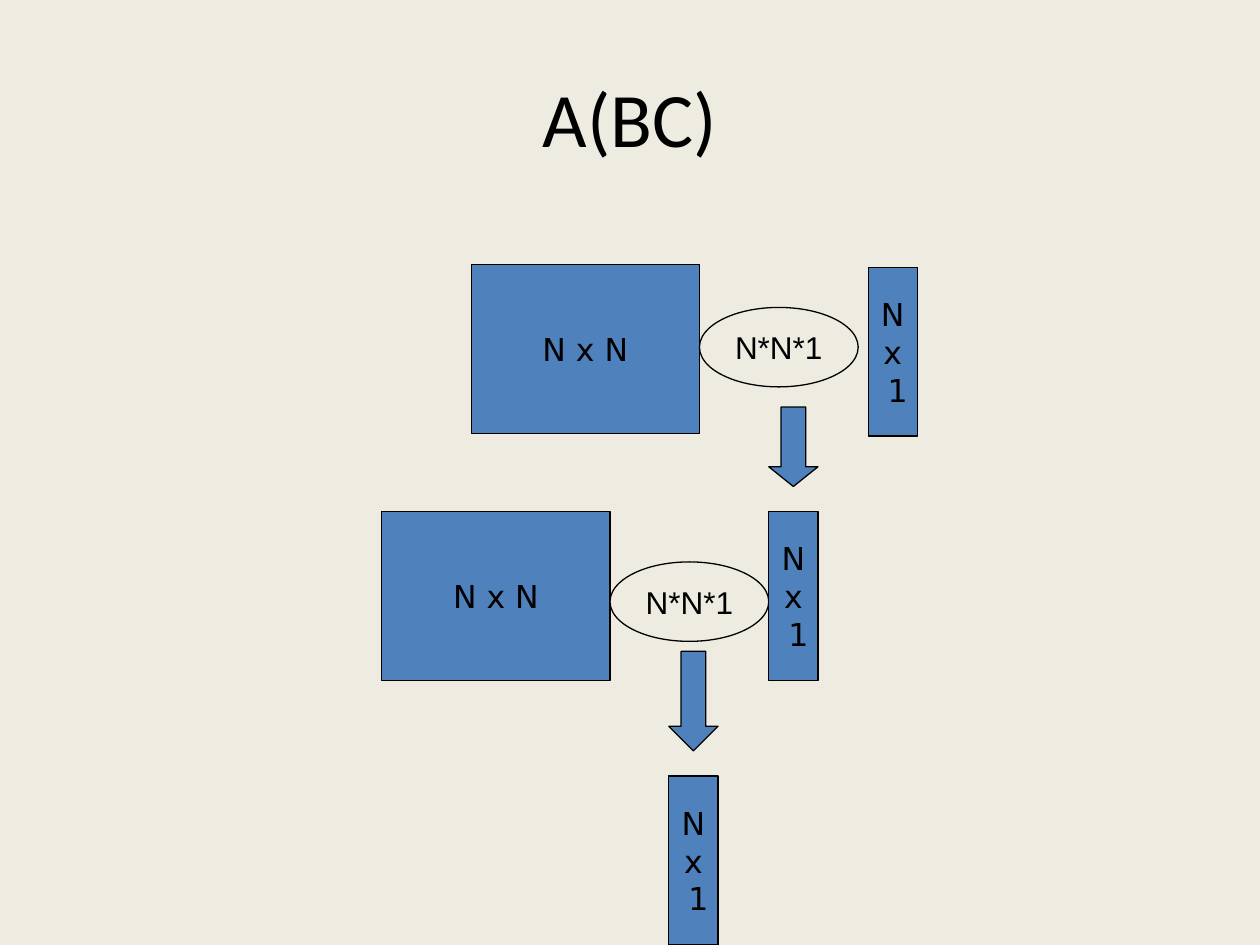
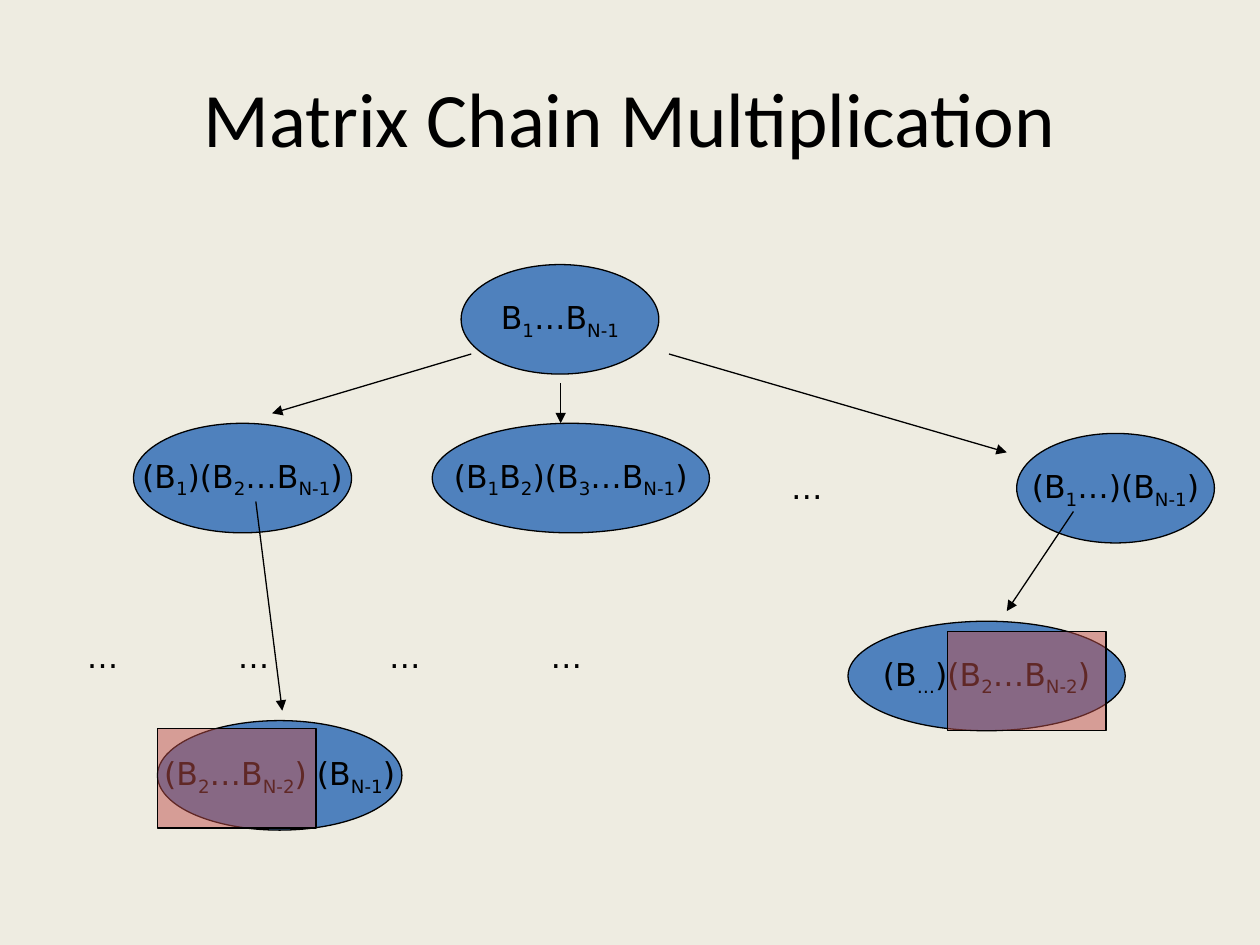
from lxml import etree
from pptx import Presentation
from pptx.dml.color import RGBColor
from pptx.enum.shapes import MSO_CONNECTOR, MSO_SHAPE
from pptx.enum.text import MSO_ANCHOR, PP_ALIGN
from pptx.oxml.ns import qn
from pptx.util import Pt

RECT, OVAL, DOWN = MSO_SHAPE.RECTANGLE, MSO_SHAPE.OVAL, MSO_SHAPE.DOWN_ARROW
STRAIGHT = MSO_CONNECTOR.STRAIGHT
MIDDLE = MSO_ANCHOR.MIDDLE
LEFT, CENTER = PP_ALIGN.LEFT, PP_ALIGN.CENTER

CREAM, BLUE, RED, BLACK = "EEECE1", "4F81BD", "C0504D", "000000"
TITLE_FONT, LABEL_FONT, COST_FONT = "Calibri", "DejaVu Sans", "Arial"
LINE_WIDTH = 0.75

# Sizes of the multiplication parts
MATRIX_W, MATRIX_H = 130.4, 96.5
COST_W, COST_H = 90.7, 45.4
VECTOR_W = 28.1

# Sizes of the tree parts
NODE_H = 62.6
SHARED_W, SHARED_H = 90.7, 56.9


def rgb(value):
    return RGBColor.from_string(value)


def outline(line):
    line.color.rgb = rgb(BLACK)
    line.width = Pt(LINE_WIDTH)


def write(frame, lines, font=LABEL_FONT, size=18, align=CENTER):
    """Write one paragraph per line; every second part between bars is a subscript."""
    for number, text in enumerate(lines):
        paragraph = frame.add_paragraph() if number else frame.paragraphs[0]
        paragraph.alignment = align
        for index, part in enumerate(text.split("|")):
            run = paragraph.add_run()
            run.text = part
            run.font.name = font
            run.font.size = Pt(size)
            run.font.color.rgb = rgb(BLACK)
            if index % 2:
                run._r.get_or_add_rPr().set("baseline", "-25000")


def add_block(slide, kind, left, top, width, height, lines=(), fill=BLUE, font=LABEL_FONT):
    block = slide.shapes.add_shape(kind, Pt(left), Pt(top), Pt(width), Pt(height))
    block.shadow.inherit = False
    block.fill.solid()
    block.fill.fore_color.rgb = rgb(fill)
    outline(block.line)
    block.text_frame.word_wrap = False
    block.text_frame.vertical_anchor = MIDDLE
    write(block.text_frame, lines, font)
    return block


def add_text(slide, left, top, width, height, text, **style):
    box = slide.shapes.add_textbox(Pt(left), Pt(top), Pt(width), Pt(height))
    box.text_frame.word_wrap = True
    write(box.text_frame, [text], **style)
    return box.text_frame


def add_arrow(slide, x1, y1, x2, y2):
    arrow = slide.shapes.add_connector(STRAIGHT, Pt(x1), Pt(y1), Pt(x2), Pt(y2))
    outline(arrow.line)
    head = etree.SubElement(arrow.line._get_or_add_ln(), qn("a:tailEnd"))
    head.set("type", "triangle")
    etree.SubElement(arrow._element.spPr, qn("a:effectLst"))


def add_titled_slide(prs, title):
    slide = prs.slides.add_slide(prs.slide_layouts[6])
    frame = add_text(slide, 36, 21.6, 648, 90, title, font=TITLE_FONT, size=44)
    frame.vertical_anchor = MIDDLE
    return slide


# Matrix product

def add_vector(slide, left, top):
    add_block(slide, RECT, left, top, VECTOR_W, MATRIX_H, [" N ", "x", " 1"])


def add_product(slide, left, top, cost_drop, vector_gap=0, vector_drop=0):
    """A matrix, the cost of the product and a vector, side by side."""
    cost_left = left + MATRIX_W
    add_block(slide, RECT, left, top, MATRIX_W, MATRIX_H, ["N x N"])
    add_block(slide, OVAL, cost_left, top + cost_drop, COST_W, COST_H,
              ["N*N*1"], CREAM, COST_FONT)
    add_vector(slide, cost_left + COST_W + vector_gap, top + vector_drop)


def add_result_arrow(slide, left, top, height, head):
    arrow = add_block(slide, DOWN, left, top, VECTOR_W, height)
    arrow.adjustments[0] = 0.5
    arrow.adjustments[1] = head


def add_multiplication(slide, left, top):
    second_vector = left + MATRIX_W + COST_W
    result = left + 164
    add_product(slide, left + 51.1, top, 24.5, vector_gap=5.7, vector_drop=1.5)
    add_result_arrow(slide, second_vector, top + 81.4, 45.4, 0.4)
    add_product(slide, left, top + 141.1, 28.8)
    add_result_arrow(slide, result, top + 221, 56.9, 0.5)
    add_vector(slide, result, top + 292.3)


# Tree of splits

def add_dots(slide, left, top, width, stops=()):
    frame = add_text(slide, left, top, width, 28.8,
                     "\t".join("…" * (len(stops) + 1)), align=LEFT)
    if stops:
        tabs = etree.SubElement(frame.paragraphs[0]._p.get_or_add_pPr(), qn("a:tabLst"))
        for stop in stops:
            etree.SubElement(tabs, qn("a:tab"), pos=str(Pt(stop)), algn="l")


def add_shared_part(slide, left, top):
    """A half transparent box over a subproblem that occurs twice."""
    cover = add_block(slide, RECT, left, top, SHARED_W, SHARED_H, fill=RED)
    color = cover.fill._xPr.find(qn("a:solidFill")).find(qn("a:srgbClr"))
    etree.SubElement(color, qn("a:alpha")).set("val", "50000")


def add_split_tree(slide, left, top):
    nodes = [  # x, y, width, product
        (221.5, 0, 113, "B|1|…B|N-1"),
        (34.3, 90.7, 124.6, "(B|1|)(B|2|…B|N-1|)"),
        (205, 90.7, 158.4, "(B|1|B|2|)(B|3|…B|N-1|)"),
        (539, 96.5, 113, "(B|1|…)(B|N-1|)"),
        (442.6, 203.8, 158.4, "(B|…|)(B|2|…B|N-2|)"),
        (48, 260.6, 139.7, "(B|2|…B|N-2|) (B|N-1|)"),
    ]
    branches = [  # from x, y to x, y
        (227.3, 51.1, 113.5, 85),
        (278.4, 67.7, 278.4, 90.7),
        (340.3, 51.1, 533.3, 107.3),
        (571.4, 141.1, 533.3, 198),
        (104.2, 135.4, 119.3, 254.9),
    ]
    for x, y, width, product in nodes:
        add_block(slide, OVAL, left + x, top + y, width, NODE_H, [product])
    for x1, y1, x2, y2 in branches:
        add_arrow(slide, left + x1, top + y1, left + x2, top + y2)

    # Omitted branches
    add_dots(slide, left + 0.5, top + 209.5, 396.7, stops=(86.4, 172.8, 265))
    add_dots(slide, left + 403, top + 113, 124.6)

    # Subproblem found in both branches
    for x, y in ((48, 265), (499.4, 209.5)):
        add_shared_part(slide, left + x, top + y)


prs = Presentation()
prs.slide_width, prs.slide_height = Pt(720), Pt(540)
background = prs.slide_master.background.fill
background.solid()
background.fore_color.rgb = rgb(CREAM)

add_multiplication(add_titled_slide(prs, "A(BC)"), 218.2, 151.2)
add_split_tree(add_titled_slide(prs, "Matrix Chain Multiplication"), 42, 151.2)

prs.save("out.pptx")
